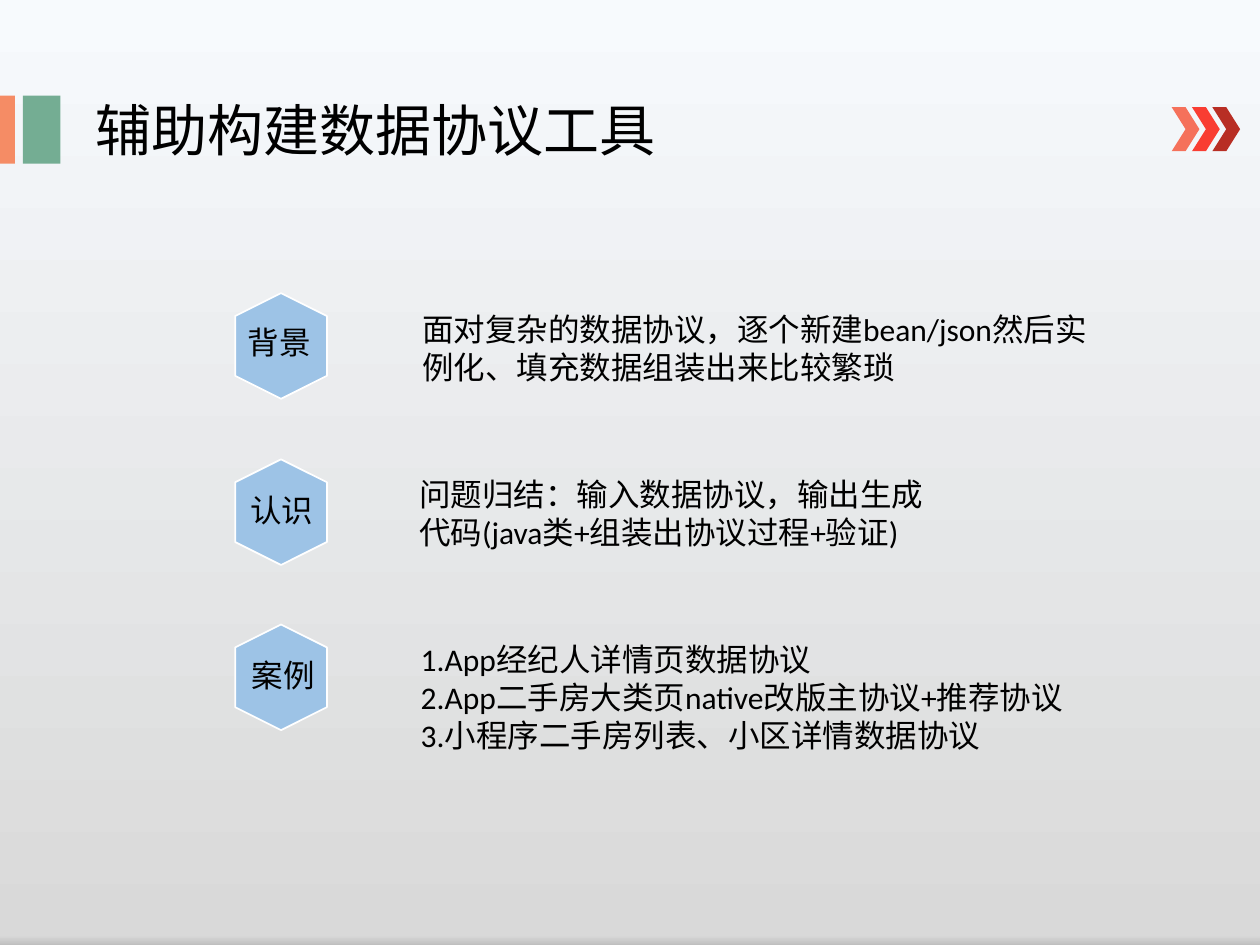
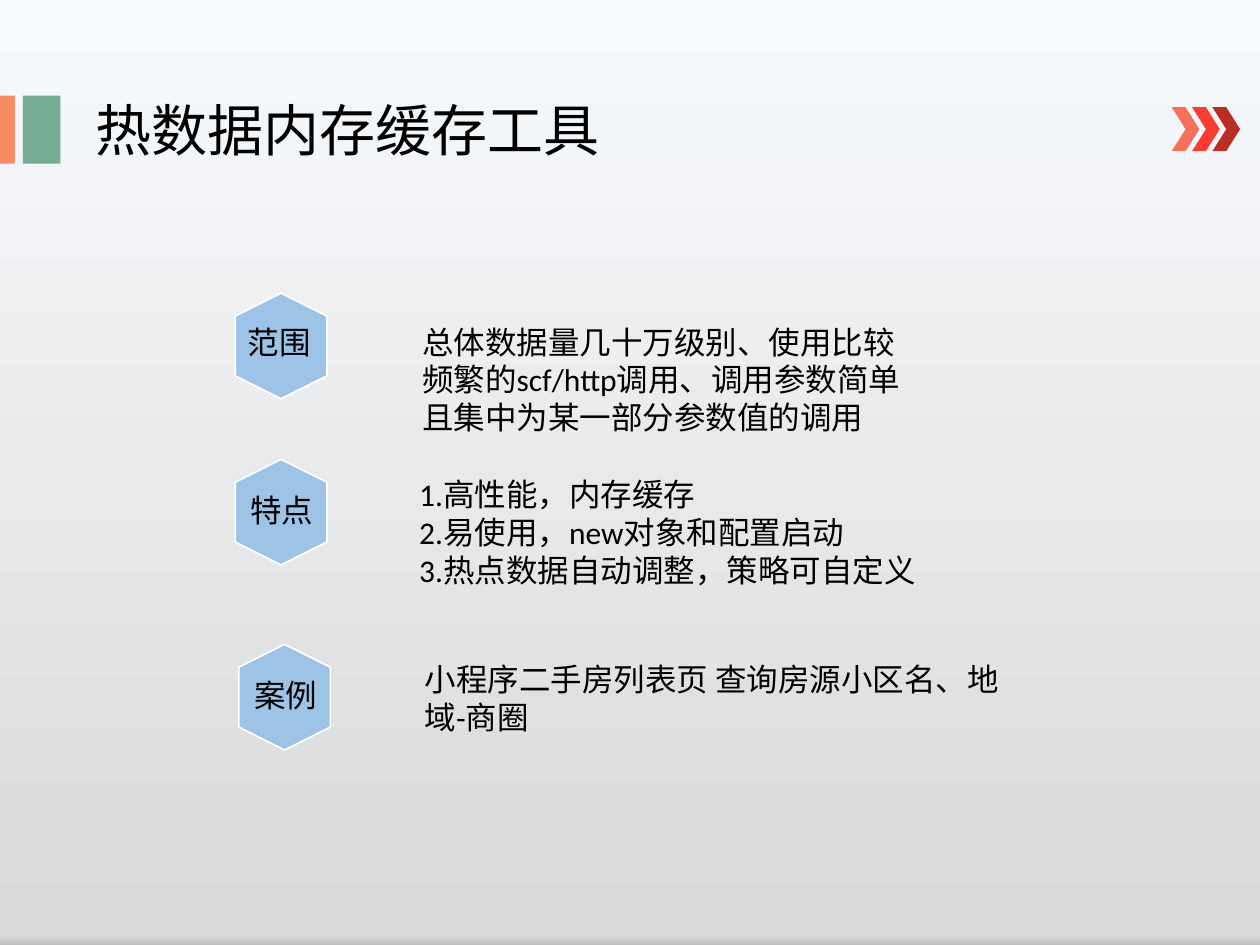
from lxml.etree import SubElement
from pptx import Presentation
from pptx.dml.color import RGBColor
from pptx.enum.shapes import MSO_SHAPE
from pptx.enum.text import MSO_AUTO_SIZE
from pptx.oxml.ns import qn
from pptx.util import Cm, Pt

TOPICS = [
    ("辅助构建数据协议工具", [
        ("背景", (4.6, 6.05), (4.75, 6.38), (8.26, 6.12, 14.15, 1.8),
         ["面对复杂的数据协议，逐个新建bean/json然后实例化、填充数据组装出来比较繁琐"]),
        ("认识", (4.6, 9.4), (4.8, 9.78), (8.2, 9.45, 10.92, 1.8),
         ["问题归结：输入数据协议，输出生成代码(java类+组装出协议过程+验证)"]),
        ("案例", (4.6, 12.73), (4.83, 13.11), (8.23, 12.78, 13.74, 2.57),
         ["1.App经纪人详情页数据协议",
          "2.App二手房大类页native改版主协议+推荐协议",
          "3.小程序二手房列表、小区详情数据协议"]),
    ]),
    ("热数据内存缓存工具", [
        ("范围", (4.6, 6.05), (4.75, 6.38), (8.26, 6.38, 10.57, 2.57),
         ["总体数据量几十万级别、使用比较频繁的scf/http调用、调用参数简单",
          "且集中为某一部分参数值的调用"]),
        ("特点", (4.6, 9.4), (4.8, 9.78), (8.2, 9.45, 11.63, 2.57),
         ["1.高性能，内存缓存",
          "2.易使用，new对象和配置启动",
          "3.热点数据自动调整，策略可自定义"]),
        ("案例", (4.67, 13.13), (4.88, 13.51), (8.31, 13.18, 12.47, 1.8),
         ["小程序二手房列表页 查询房源小区名、地域-商圈"]),
    ]),
]


def color(value):
    """Turn a hex string into a colour."""
    return RGBColor.from_string(value)


class Deck:
    """Hold the shared style and the slide being built."""

    font_name = "Calibri"
    text_color = "000000"
    title_size = 32
    body_size = 18
    hexagon_fill = "9DC3E6"
    hexagon_line = "FFFFFF"
    accents = [(0, 0.3, "F58C65"), (0.46, 0.76, "74AD93")]
    chevrons = ["F5715B", "F93D32", "B82E24"]
    background = [(0, "F7FAFD"), (99, "D9D9D9"), (100, "BFBFBF")]

    def __init__(self):
        """Start an empty 4:3 presentation."""
        self.presentation = Presentation()
        self.presentation.slide_width = Cm(25.4)
        self.presentation.slide_height = Cm(19.05)
        self.slide = None

    def new_slide(self, title):
        """Add a slide with background, title and marks."""
        layout = self.presentation.slide_layouts[6]
        self.slide = self.presentation.slides.add_slide(layout)
        self.paint_background()
        accent_group = self.slide.shapes.add_group_shape()
        for left, width, fill in self.accents:
            self.shape(MSO_SHAPE.RECTANGLE, (left, 1.93, width, 1.37), fill, accent_group)
        self.text([title], (1.68, 1.8, 17.7, 1.63), self.title_size)
        chevron_group = self.slide.shapes.add_group_shape()
        for index, fill in enumerate(self.chevrons):
            box = (23.62 + 0.41 * index, 2.16, 0.56, 0.89)
            self.shape(MSO_SHAPE.CHEVRON, box, fill, chevron_group)

    def paint_background(self):
        """Fill the slide with the vertical gradient."""
        fill = self.slide.background.fill
        fill.gradient()
        fill.gradient_angle = 270
        stops = next(self.slide.element.iter(qn("a:gsLst")))
        stops.clear()
        for percent, value in self.background:
            stop = SubElement(stops, qn("a:gs"), pos=str(percent * 1000))
            SubElement(stop, qn("a:srgbClr"), val=value)

    def shape(self, kind, box, fill, parent=None):
        """Add a filled shape without outline."""
        shape = (parent or self.slide).shapes.add_shape(kind, *map(Cm, box))
        shape.shadow.inherit = False
        shape.fill.solid()
        shape.fill.fore_color.rgb = color(fill)
        shape.line.fill.background()
        return shape

    def hexagon(self, left, top):
        """Add an upright hexagon with a white outline."""
        shape = self.shape(MSO_SHAPE.HEXAGON, (left, top, 2.13, 1.85), self.hexagon_fill)
        shape.rotation = 90
        shape.line.color.rgb = color(self.hexagon_line)
        shape.line.width = Pt(1)

    def text(self, lines, box, size):
        """Add a wrapping text box with one paragraph per line."""
        frame = self.slide.shapes.add_textbox(*map(Cm, box)).text_frame
        frame.word_wrap = True
        frame.auto_size = MSO_AUTO_SIZE.SHAPE_TO_FIT_TEXT
        frame.text = "\n".join(lines)
        for paragraph in frame.paragraphs:
            paragraph.font.name = self.font_name
            paragraph.font.size = Pt(size)
            paragraph.font.color.rgb = color(self.text_color)

    def section(self, label, hexagon_corner, label_corner, body_box, lines):
        """Add a labelled hexagon with its explanation."""
        self.hexagon(*hexagon_corner)
        self.text([label], (*label_corner, 3.53, 1.02), self.body_size)
        self.text(lines, body_box, self.body_size)


def main():
    """Build and save the slides."""
    deck = Deck()
    for title, sections in TOPICS:
        deck.new_slide(title)
        for section in sections:
            deck.section(*section)
    deck.presentation.save("out.pptx")


if __name__ == "__main__":
    main()
